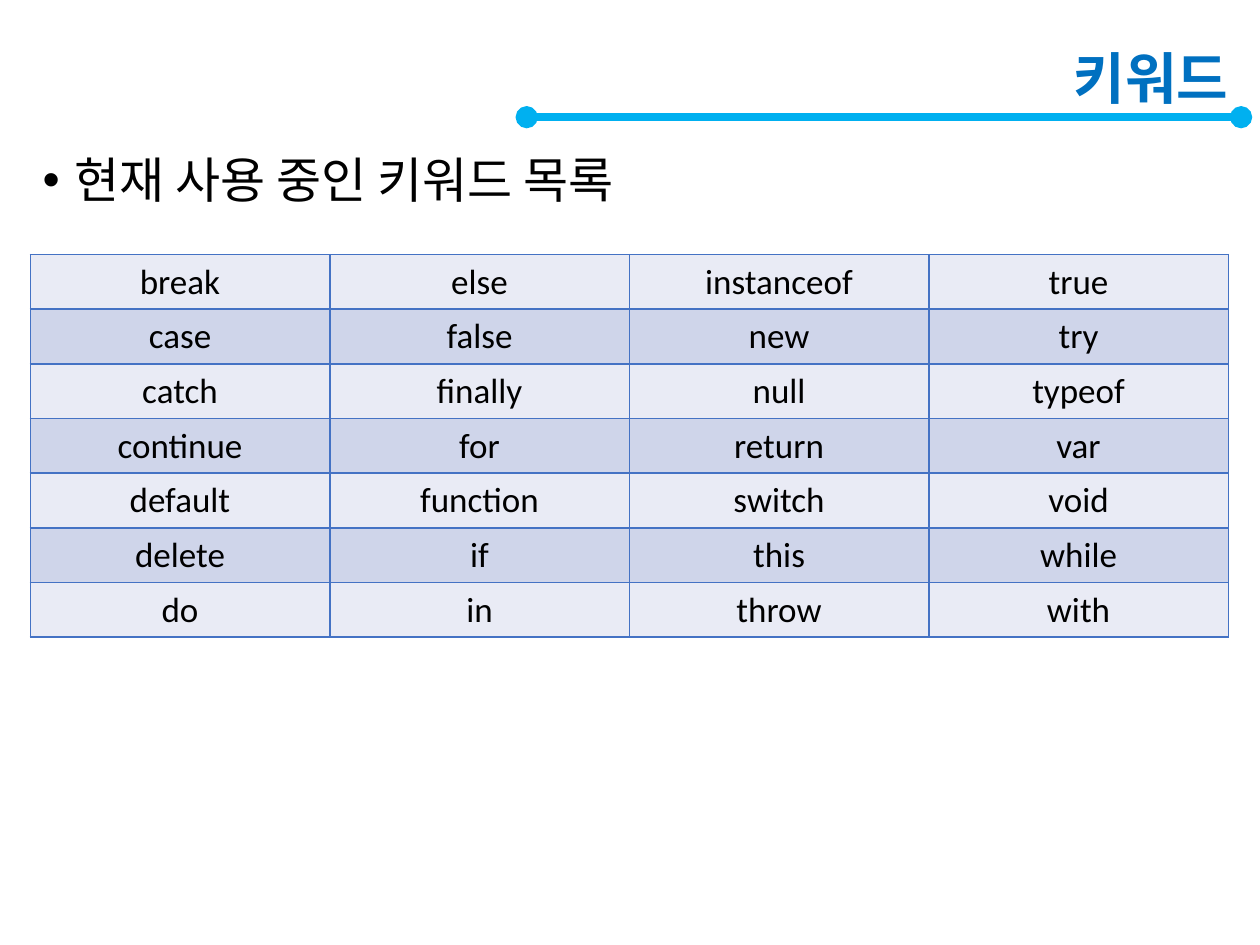
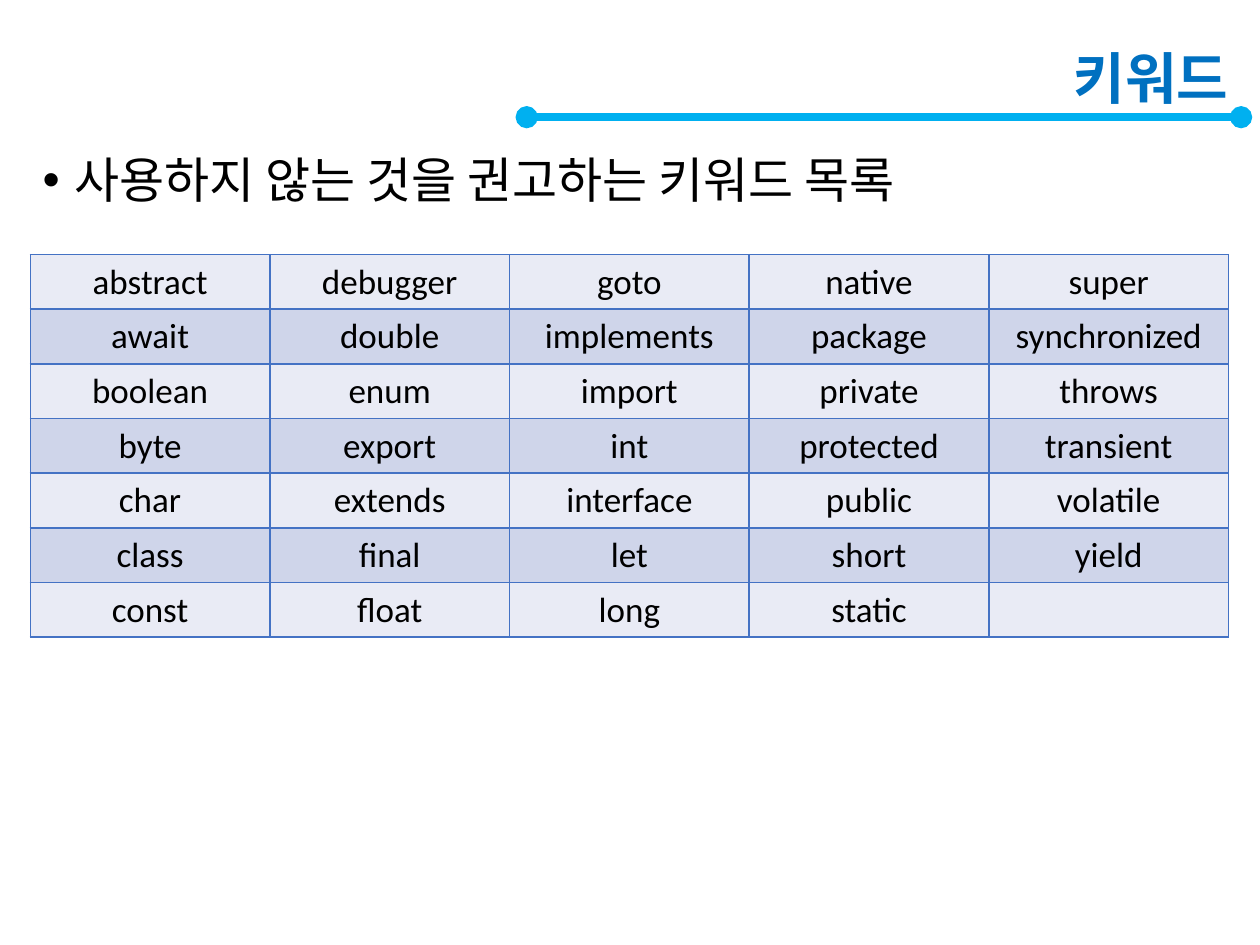
"""Build two slides that list keywords in use and keywords to avoid."""
from lxml.etree import SubElement
from pptx import Presentation
from pptx.dml.color import RGBColor
from pptx.enum.shapes import MSO_CONNECTOR
from pptx.enum.text import MSO_ANCHOR, MSO_AUTO_SIZE, PP_ALIGN
from pptx.oxml.ns import qn
from pptx.util import Inches, Pt

TITLE = "키워드"
SLIDES = [
    ("현재 사용 중인 키워드 목록", [
        ["break", "case", "catch", "continue", "default", "delete", "do"],
        ["else", "false", "finally", "for", "function", "if", "in"],
        ["instanceof", "new", "null", "return", "switch", "this", "throw"],
        ["true", "try", "typeof", "var", "void", "while", "with"],
    ]),
    ("사용하지 않는 것을 권고하는 키워드 목록", [
        ["abstract", "await", "boolean", "byte", "char", "class", "const"],
        ["debugger", "double", "enum", "export", "extends", "final", "float"],
        ["goto", "implements", "import", "int", "interface", "let", "long"],
        ["native", "package", "private", "protected", "public", "short", "static"],
        ["super", "synchronized", "throws", "transient", "volatile", "yield"],
    ]),
]

BLACK = RGBColor(0x00, 0x00, 0x00)
TITLE_BLUE = RGBColor(0x00, 0x70, 0xC0)
RULE_BLUE = RGBColor(0x00, 0xB0, 0xF0)
BORDER_BLUE = RGBColor(0x44, 0x72, 0xC4)
ROW_FILLS = [RGBColor(0xE9, 0xEB, 0xF5), RGBColor(0xCF, 0xD5, 0xEA)]

TITLE_FONT = {"name": "Courier New", "size": Pt(32), "bold": True}
BODY_FONT = {"name": "Courier New", "size": Pt(28)}
CELL_FONT = {"name": "Calibri", "size": Pt(20)}

LEFT, WIDTH = 0.24, 9.61
TABLE_TOP, TABLE_WIDTH, TABLE_HEIGHT = 2.02, 9.51, 3.03
RULE_START, RULE_END, RULE_Y = 4.18, 9.85, 0.93


def write(paragraph, text, font, color, **formats):
    """Put one formatted run into a paragraph."""
    run = paragraph.add_run()
    run.text = text
    for name, value in font.items():
        setattr(run.font, name, value)
    run.font.color.rgb = color
    for name, value in formats.items():
        setattr(paragraph, name, value)


def add_title(slide):
    """Place the right-aligned title and the rule with round ends."""
    title = slide.shapes.title
    box = {"left": LEFT, "top": 0.24, "width": WIDTH, "height": 0.81}
    for name, value in box.items():
        setattr(title, name, Inches(value))
    frame = title.text_frame
    frame.auto_size = MSO_AUTO_SIZE.NONE
    frame.vertical_anchor = MSO_ANCHOR.MIDDLE
    write(frame.paragraphs[0], TITLE, TITLE_FONT, TITLE_BLUE,
          alignment=PP_ALIGN.RIGHT, line_spacing=0.9)

    rule = slide.shapes.add_connector(
        MSO_CONNECTOR.STRAIGHT, Inches(RULE_START), Inches(RULE_Y),
        Inches(RULE_END), Inches(RULE_Y))
    rule.line.color.rgb = RULE_BLUE
    rule.line.width = Pt(4.25)
    for end in ("a:headEnd", "a:tailEnd"):
        SubElement(rule.line._get_or_add_ln(), qn(end), type="oval")
    SubElement(rule._element.spPr, qn("a:effectLst"))


def add_bullet(slide, text):
    """Place the bulleted line below the title."""
    frame = slide.shapes.add_textbox(
        Inches(LEFT), Inches(1.19), Inches(WIDTH), Inches(5.82)).text_frame
    frame.word_wrap = True
    paragraph = frame.paragraphs[0]
    write(paragraph, text, BODY_FONT, BLACK, line_spacing=0.9, space_before=Pt(10))
    properties = paragraph._p.get_or_add_pPr()
    properties.set("marL", str(Inches(0.25)))
    properties.set("indent", str(-Inches(0.25)))
    SubElement(properties, qn("a:buFont"), typeface="Arial")
    SubElement(properties, qn("a:buChar"), char="•")


def add_borders(cell):
    """Draw a thin line on all four sides of a cell."""
    properties = cell._tc.get_or_add_tcPr()
    for side in ("a:lnL", "a:lnR", "a:lnT", "a:lnB"):
        line = SubElement(properties, qn(side), w=str(Pt(1)))
        fill = SubElement(line, qn("a:solidFill"))
        SubElement(fill, qn("a:srgbClr"), val=str(BORDER_BLUE))


def add_keyword_table(slide, columns):
    """Fill a table column by column, with alternating row colours."""
    row_count = max(len(words) for words in columns)
    table = slide.shapes.add_table(
        row_count, len(columns), Inches(LEFT), Inches(TABLE_TOP),
        Inches(TABLE_WIDTH), Inches(TABLE_HEIGHT)).table
    table.first_row = False
    for column_index, words in enumerate(columns):
        for row_index in range(row_count):
            cell = table.cell(row_index, column_index)
            add_borders(cell)
            cell.fill.solid()
            cell.fill.fore_color.rgb = ROW_FILLS[row_index % 2]
            if row_index < len(words):
                write(cell.text_frame.paragraphs[0], words[row_index],
                      CELL_FONT, BLACK, alignment=PP_ALIGN.CENTER)


presentation = Presentation()
presentation.slide_width = Inches(10)
presentation.slide_height = Inches(7.5)
title_only = presentation.slide_layouts.get_by_name("Title Only")
for heading, keyword_columns in SLIDES:
    slide = presentation.slides.add_slide(title_only)
    add_title(slide)
    add_bullet(slide, heading)
    add_keyword_table(slide, keyword_columns)
presentation.save("out.pptx")
